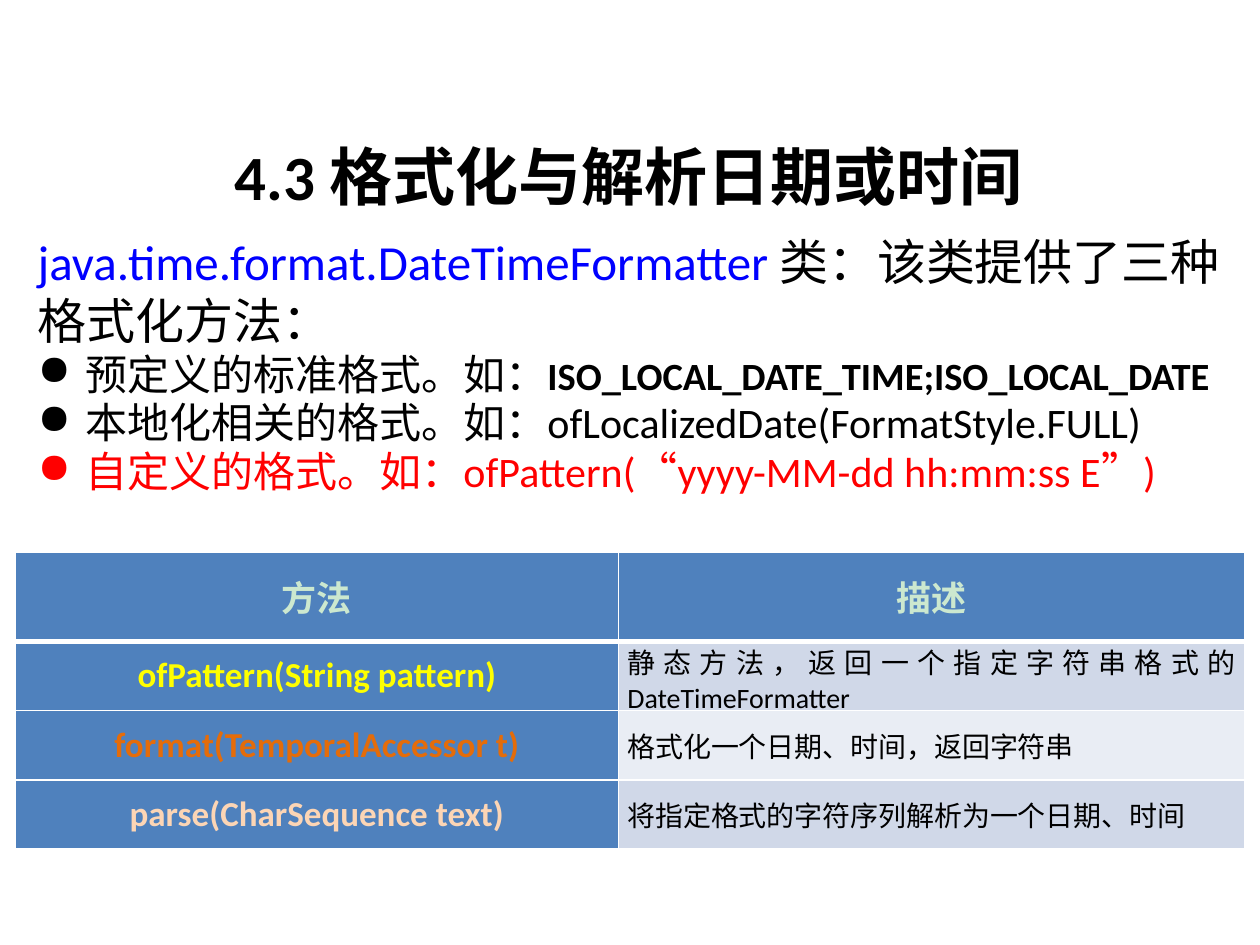
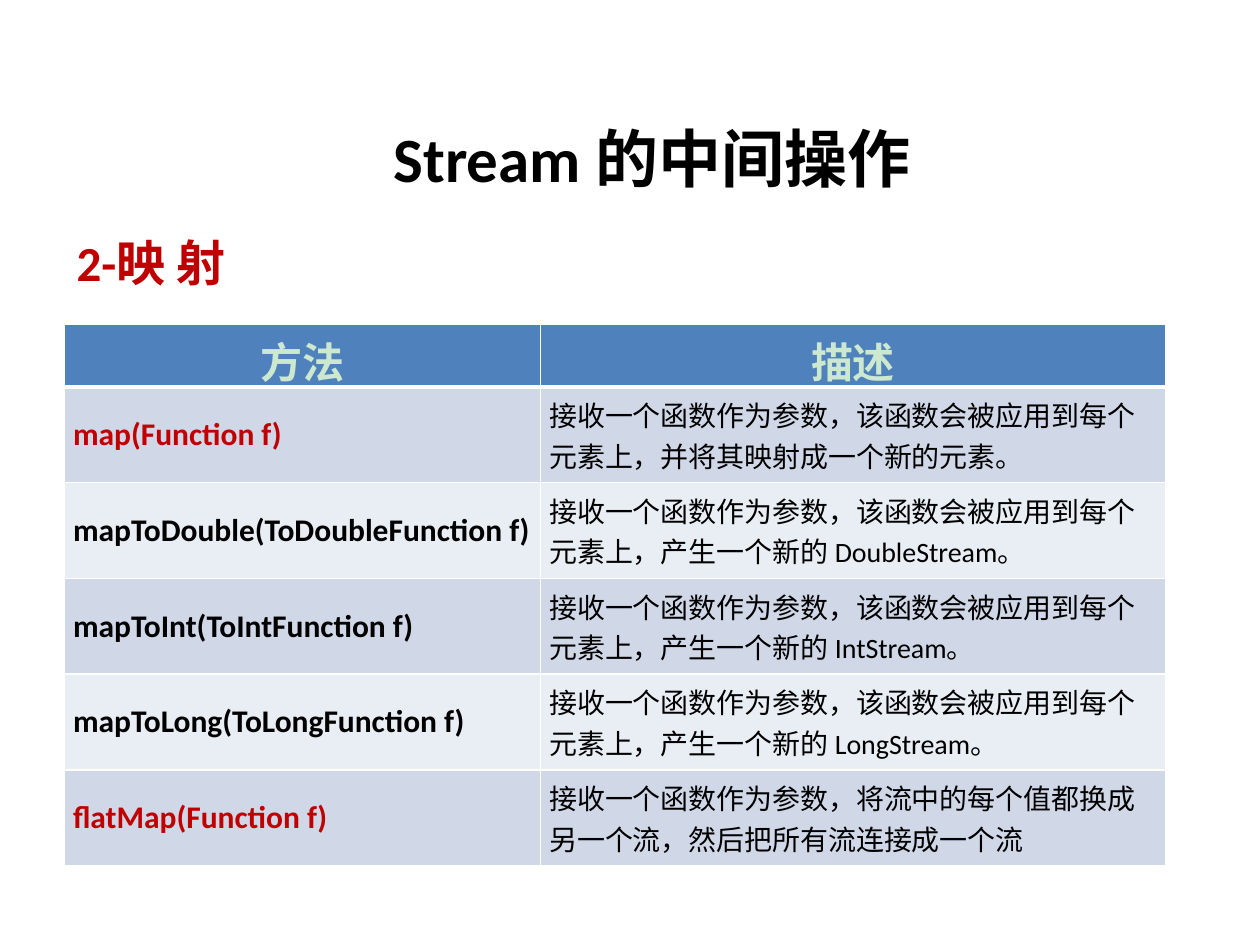
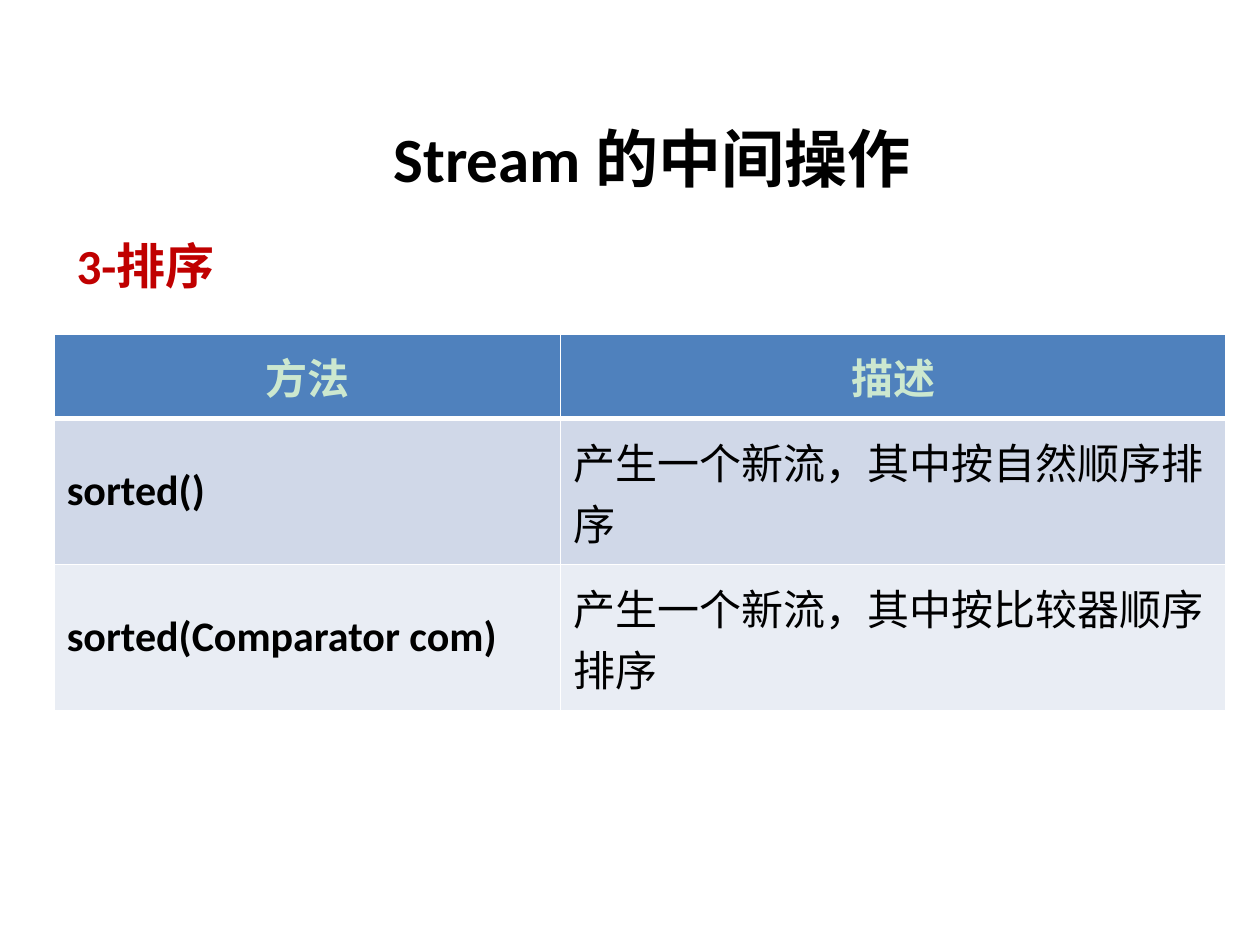
from lxml.etree import SubElement
from pptx import Presentation
from pptx.dml.color import RGBColor
from pptx.enum.lang import MSO_LANGUAGE_ID
from pptx.enum.text import MSO_ANCHOR, MSO_AUTO_SIZE, PP_ALIGN
from pptx.oxml.ns import qn
from pptx.util import Inches, Pt

# Shared style
FONT = "Calibri"
BLACK, WHITE, RED = "000000", "FFFFFF", "C00000"
BLUE, MINT = "4F81BD", "CCE8CF"
BANDS = ["D0D8E8", "E9EDF4"]
LEFT, MID, JUST = PP_ALIGN.LEFT, PP_ALIGN.CENTER, PP_ALIGN.JUSTIFY
TIGHT = (0.07, 0)
HEADS = ("方法", "描述")


def color(code):
    return RGBColor.from_string(code)


def write(par, text, size=24, tint=BLACK, bold=False, align=LEFT):
    par.alignment = align
    run = par.add_run()
    run.text = text
    font = run.font
    font.name, font.size, font.bold = FONT, Pt(size), bold
    font.color.rgb = color(tint)
    font.language_id = MSO_LANGUAGE_ID.SIMPLIFIED_CHINESE


def bullet(par):
    props = par._p.get_or_add_pPr()
    props.set("marL", str(Inches(0.38)))
    props.set("indent", str(-Inches(0.38)))
    SubElement(props, qn("a:buChar"), char="●")


def border(cell, side, width):
    line = SubElement(cell._tc.get_or_add_tcPr(), qn("a:" + side),
                      w=str(Pt(width)))
    fill = SubElement(line, qn("a:solidFill"))
    SubElement(fill, qn("a:srgbClr"), val=WHITE)


class Deck:
    def __init__(self):
        self.prs = Presentation()
        self.prs.slide_width = Inches(10)
        self.prs.slide_height = Inches(7.5)
        self.slide = None

    def page(self, text, box):
        self.slide = self.prs.slides.add_slide(self.prs.slide_layouts[5])
        fill = self.slide.background.fill
        fill.solid()
        fill.fore_color.rgb = color(WHITE)
        title = self.slide.shapes.title
        title.left, title.top, title.width, title.height = map(Inches, box)
        frame = title.text_frame
        frame.auto_size = MSO_AUTO_SIZE.NONE
        frame.vertical_anchor = MSO_ANCHOR.MIDDLE
        write(frame.paragraphs[0], text, size=36, bold=True, align=MID)

    def box(self, place):
        frame = self.slide.shapes.add_textbox(*map(Inches, place)).text_frame
        frame.word_wrap = True
        return frame

    def label(self, text, place):
        par = self.box(place).paragraphs[0]
        par.line_spacing = Pt(40)
        write(par, text, size=28, tint=RED, bold=True)

    def cell(self, cell, text, back, inset=None, low=1, **style):
        for side in ("lnL", "lnR", "lnT"):
            border(cell, side, 1)
        border(cell, "lnB", low)
        cell.fill.solid()
        cell.fill.fore_color.rgb = color(back)
        cell.vertical_anchor = MSO_ANCHOR.MIDDLE
        if inset:
            cell.margin_left = cell.margin_right = Inches(inset[0])
            cell.margin_top = cell.margin_bottom = Inches(inset[1])
        write(cell.text_frame.paragraphs[0], text, **style)

    def table(self, place, cols, high, step, rows, head, name, note,
              inset=None, top=None, back=None):
        shape = self.slide.shapes.add_table(len(rows) + 1, 2,
                                            *map(Inches, place))
        table = shape.table
        for col, width in zip(table.columns, cols):
            col.width = Inches(width)
        for i, row in enumerate(table.rows):
            row.height = Inches(step if i else high)
        shape.height = Inches(place[3])
        for i, text in enumerate(HEADS):
            self.cell(table.cell(0, i), text, BLUE, top, low=3, size=head,
                      tint=MINT, bold=True, align=MID)
        for i, (call, tint, text) in enumerate(rows):
            band = BANDS[i % 2]
            self.cell(table.cell(i + 1, 0), call, back or band, inset,
                      tint=tint, bold=True, **name)
            self.cell(table.cell(i + 1, 1), text, band, inset, **note)


def main():
    deck = Deck()

    # Formatting dates: text
    deck.page("4.3 格式化与解析日期或时间", (0.49, 0.92, 9, 0.94))
    frame = deck.box((0.2, 1.78, 9.72, 4.81))
    par = frame.paragraphs[0]
    par.line_spacing = Pt(34)
    write(par, "java.time.format.DateTimeFormatter ", size=28, tint="0000FF")
    write(par, "类：该类提供了三种格式化方法：", size=28)
    points = [
        [("预定义的标准格式。如：", {}),
         ("ISO_LOCAL_DATE_TIME;ISO_LOCAL_DATE", dict(size=22, bold=True))],
        [("本地化相关的格式。如：ofLocalizedDate(FormatStyle.FULL)", {})],
        [("自定义的格式。如：ofPattern(“yyyy-MM-dd hh:mm:ss E”)",
          dict(tint="FF0000"))],
    ]
    for runs in points:
        par = frame.add_paragraph()
        par.line_spacing, par.space_before = 0.8, Pt(4.8)
        bullet(par)
        for text, style in runs:
            write(par, text, **style)

    # Formatting dates: methods
    deck.table((0.12, 4.38, 9.76, 2.36), (4.79, 4.97), 0.71, 0.55, [
        ("ofPattern(String pattern)", "FFFF00",
         "静态方法，返回一个指定字符串格式的DateTimeFormatter"),
        ("format(TemporalAccessor t)", "E46C0A",
         "格式化一个日期、时间，返回字符串"),
        ("parse(CharSequence text)", "FCD5B5",
         "将指定格式的字符序列解析为一个日期、时间"),
    ], 20, dict(size=20, align=MID), dict(size=16, align=JUST),
        inset=TIGHT, top=TIGHT, back=BLUE)

    # Stream mapping
    stream, place = "Stream 的中间操作", (2.75, 0.81, 4.85, 0.87)
    deck.page(stream, place)
    deck.label("2-映 射", (0.51, 1.71, 4.49, 0.66))
    start = "接收一个函数作为参数，"
    each = start + "该函数会被应用到每个元素上，"
    kinds = [(f"mapTo{kind}(To{kind}Function f)", BLACK,
              f"{each}产生一个新的 {kind}Stream。")
             for kind in ("Double", "Int", "Long")]
    deck.table((0.51, 2.57, 8.74, 4.32), (3.78, 4.96), 0.41, 0.76, [
        ("map(Function f)", RED, each + "并将其映射成一个新的元素。"),
        *kinds,
        ("flatMap(Function f)", RED,
         start + "将流中的每个值都换成另一个流，然后把所有流连接成一个流"),
    ], 24, dict(size=18), dict(size=16), inset=TIGHT)

    # Stream sorting
    deck.page(stream, place)
    deck.label("3-排序", (0.51, 1.73, 2.44, 0.66))
    deck.table((0.43, 2.65, 9.29, 2.99), (4.02, 5.28), 0.67, 1.16, [
        ("sorted()", BLACK, "产生一个新流，其中按自然顺序排序"),
        ("sorted(Comparator com)", BLACK, "产生一个新流，其中按比较器顺序排序"),
    ], 24, dict(size=24), dict(size=24))

    deck.prs.save("out.pptx")


if __name__ == "__main__":
    main()
